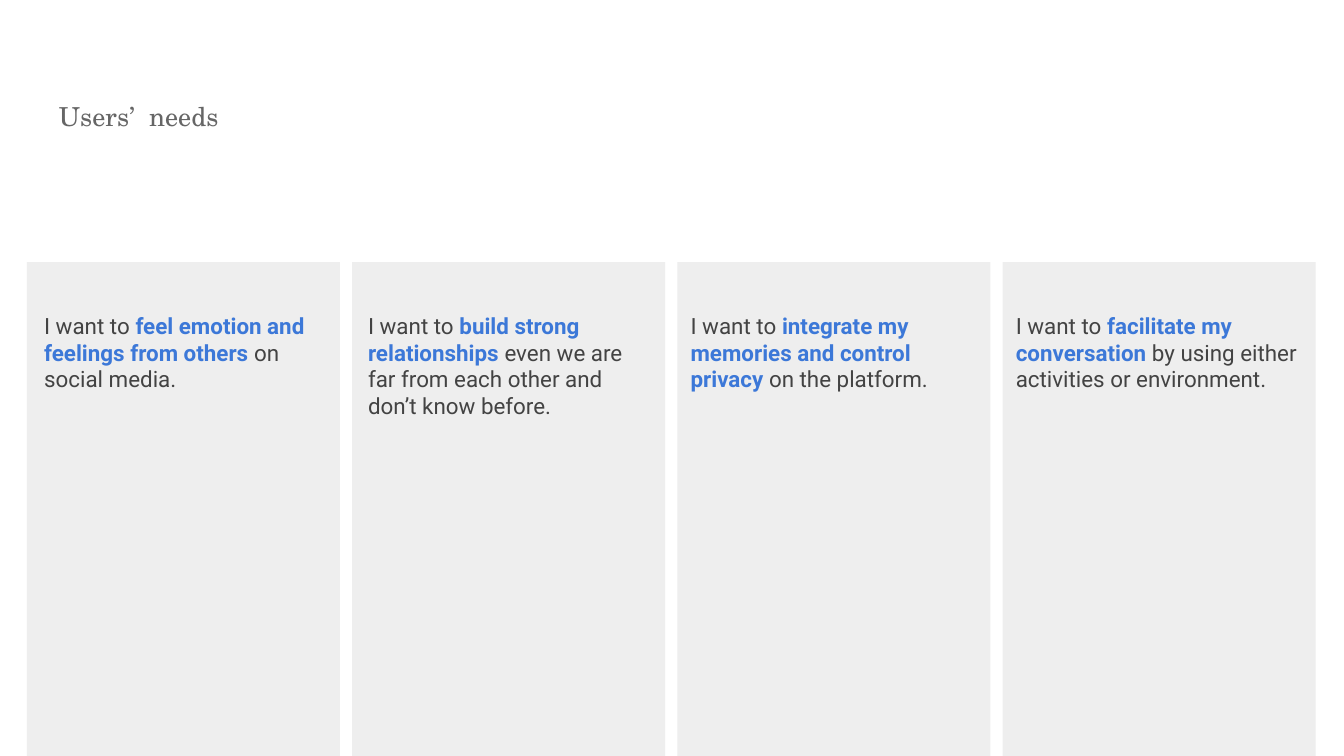
import pptx
import pptx.dml.color
import pptx.enum.shapes
import pptx.enum.text
import pptx.util

Inches = pptx.util.Inches

SLIDE_WIDTH = 10
SLIDE_HEIGHT = SLIDE_WIDTH * 9 / 16
CARD_LEFT, CARD_TOP = 0.2, 1.95
CARD_WIDTH, CARD_HEIGHT = 2.33, 3.68
CARD_STEP = 2.42
NOTE_TOP = 2.22

TITLE = {"name": "TeX Gyre Schola", "size": pptx.util.Pt(14), "color": "666666"}
PLAIN = {"name": "Roboto", "size": pptx.util.Pt(12), "color": "434343", "bold": False}
STRONG = {**PLAIN, "color": "3C78D8", "bold": True}

# Text left, width and height, stressed words, closing words
NEEDS = [
    (0.23, 2.31, 1.42, "feel emotion and feelings from others ",
     "on social media."),
    (2.64, 2.31, 1.01, "build strong relationships ",
     "even we are far from each other and don’t know before."),
    (5.04, 2.31, 1.4, "integrate my memories and control privacy ",
     "on the platform."),
    (7.46, 2.33, 0.85, "facilitate my conversation ",
     "by using either activities or environment."),
]


def paint(target, color):
    """Give a fill or font colour object a hex colour."""
    target.rgb = pptx.dml.color.RGBColor.from_string(color)


def add_card(slide, left):
    card = slide.shapes.add_shape(
        pptx.enum.shapes.MSO_SHAPE.RECTANGLE,
        Inches(left), Inches(CARD_TOP), Inches(CARD_WIDTH), Inches(CARD_HEIGHT))
    card.shadow.inherit = False
    card.fill.solid()
    paint(card.fill.fore_color, "EEEEEE")
    card.line.fill.background()


def add_text(slide, left, top, width, height, runs):
    """Add a one-paragraph box from (words, format) pairs."""
    box = slide.shapes.add_textbox(
        Inches(left), Inches(top), Inches(width), Inches(height))
    frame = box.text_frame
    frame.word_wrap = True
    frame.vertical_anchor = pptx.enum.text.MSO_ANCHOR.TOP
    for side in ("left", "top", "right", "bottom"):
        setattr(frame, f"margin_{side}", Inches(0.1))
    for words, style in runs:
        run = frame.paragraphs[0].add_run()
        run.text = words
        for key, value in style.items():
            if key == "color":
                paint(run.font.color, value)
            else:
                setattr(run.font, key, value)


def main():
    deck = pptx.Presentation()
    deck.slide_width = Inches(SLIDE_WIDTH)
    deck.slide_height = Inches(SLIDE_HEIGHT)
    slide = deck.slides.add_slide(deck.slide_layouts[6])

    add_text(slide, 0.34, 0.65, 1.76, 0.48, [("Users’  needs", TITLE)])
    for index, (left, width, height, stress, rest) in enumerate(NEEDS):
        add_card(slide, CARD_LEFT + index * CARD_STEP)
        add_text(slide, left, NOTE_TOP, width, height,
                 [("I want to ", PLAIN), (stress, STRONG), (rest, PLAIN)])

    deck.save("out.pptx")


if __name__ == "__main__":
    main()
